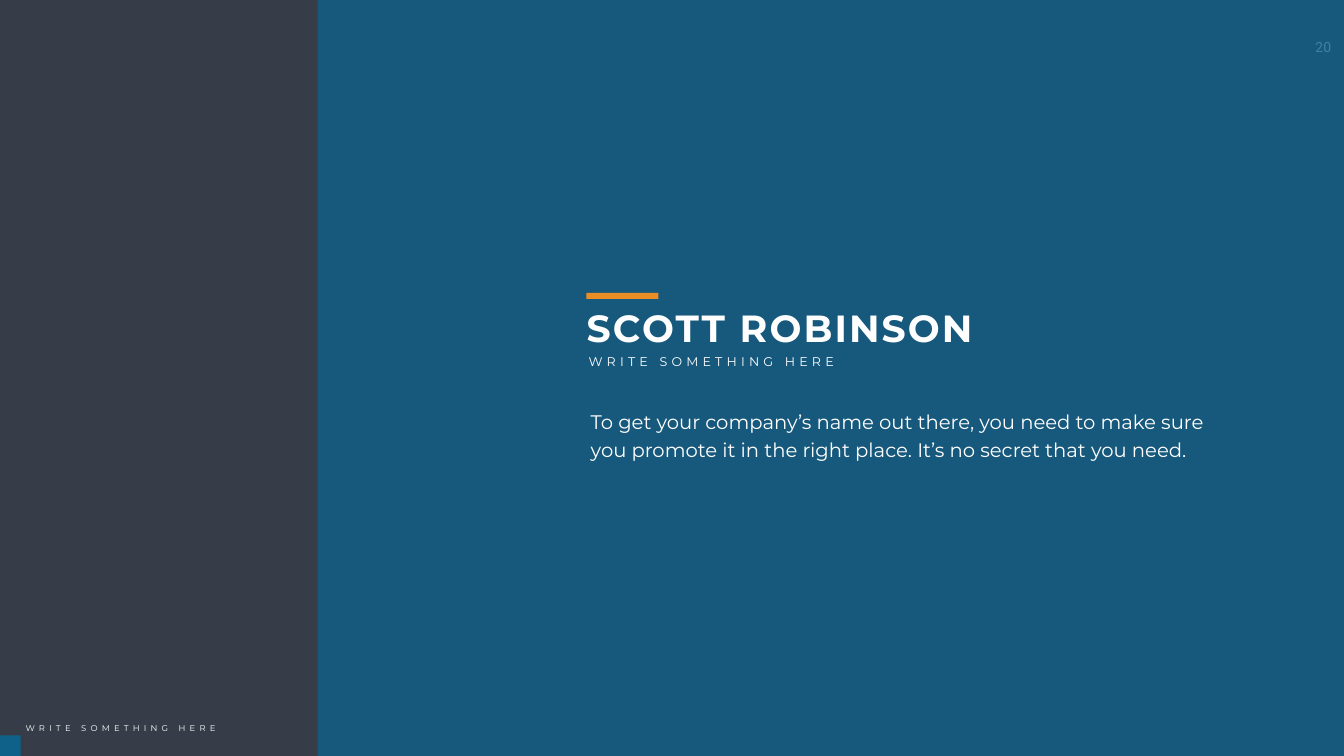
from dataclasses import dataclass

from lxml.etree import SubElement
from pptx import Presentation
from pptx.dml.color import RGBColor
from pptx.enum.shapes import MSO_SHAPE
from pptx.enum.text import MSO_AUTO_SIZE, PP_ALIGN
from pptx.oxml.ns import qn
from pptx.slide import Slide
from pptx.util import Pt

SLIDE_WIDTH, SLIDE_HEIGHT = 1919.52, 1080
PANEL_LEFT = 453.6
CORNER = 29.52
SLATE, BLUE, ORANGE, WHITE = "363D48", "10618A", "E98D24", "FFFFFF"


@dataclass
class Block:
    left: float
    top: float
    width: float
    height: float
    color: str
    opacity: int = 100


@dataclass
class Label:
    text: str
    left: float
    top: float
    width: float
    height: float
    size: float
    font: str = "Montserrat"
    bold: bool = False
    tracking: float = 0
    line_spacing: float = 0
    wrap: bool = False
    align: PP_ALIGN = PP_ALIGN.LEFT
    inset_x: float = 7.2
    inset_y: float = 3.6


def paint(fill, color: str) -> None:
    fill.solid()
    fill.fore_color.rgb = RGBColor.from_string(color)


def draw_block(slide: Slide, block: Block) -> None:
    rectangle = slide.shapes.add_shape(
        MSO_SHAPE.RECTANGLE,
        Pt(block.left), Pt(block.top), Pt(block.width), Pt(block.height),
    )
    rectangle.shadow.inherit = False
    rectangle.line.fill.background()
    paint(rectangle.fill, block.color)
    if block.opacity < 100:
        tint = rectangle.fill._xPr.find(qn("a:solidFill"))[0]
        SubElement(tint, qn("a:alpha")).set("val", str(block.opacity * 1000))


def draw_label(slide: Slide, label: Label) -> None:
    box = slide.shapes.add_textbox(
        Pt(label.left), Pt(label.top), Pt(label.width), Pt(label.height)
    )
    frame = box.text_frame
    frame.word_wrap = label.wrap
    frame.auto_size = MSO_AUTO_SIZE.SHAPE_TO_FIT_TEXT
    frame.margin_left = frame.margin_right = Pt(label.inset_x)
    frame.margin_top = frame.margin_bottom = Pt(label.inset_y)
    paragraph = frame.paragraphs[0]
    paragraph.alignment = label.align
    if label.line_spacing:
        paragraph.line_spacing = Pt(label.line_spacing)
    run = paragraph.add_run()
    run.text = label.text
    run.font.name = label.font
    run.font.size = Pt(label.size)
    run.font.bold = label.bold
    paint(run.font.fill, WHITE)
    if label.tracking:
        run._r.get_or_add_rPr().set("spc", str(round(label.tracking * 100)))


def main() -> None:
    presentation = Presentation()
    presentation.slide_width = Pt(SLIDE_WIDTH)
    presentation.slide_height = Pt(SLIDE_HEIGHT)
    slide = presentation.slides.add_slide(presentation.slide_layouts[6])
    paint(slide.background.fill, SLATE)

    tagline = "WRITE SOMETHING HERE"
    biography = (
        "To get your company’s name out there, you need to make sure "
        "you promote it in the right place. It’s no secret that you need."
    )

    page_number = Label("20", 1861.2, 48.24, 57.6, 38.88, 20, font="Roboto",
                        align=PP_ALIGN.CENTER, inset_x=14.4, inset_y=7.2)
    panel = Block(PANEL_LEFT, 0, SLIDE_WIDTH - PANEL_LEFT, SLIDE_HEIGHT, BLUE, 80)
    corner = Block(0, SLIDE_HEIGHT - CORNER, CORNER, CORNER, BLUE)
    footer = Label(tagline, CORNER, 1029.6, 293.76, 21.6, 12, tracking=6)
    person = Label("SCOTT ROBINSON", 830.88, 432, 670.32, 72.72, 54,
                   bold=True, tracking=3, wrap=True)
    role = Label(tagline, 833.76, 501.84, 372.96, 28.8, 18, tracking=6)
    accent = Block(837.36, 418.32, 102.96, 8.64, ORANGE)
    summary = Label(biography, 836.64, 574.56, 921.6, 86.4, 28,
                    line_spacing=40.8, wrap=True)

    draw_label(slide, page_number)
    for block in (panel, corner, accent):
        draw_block(slide, block)
    for label in (footer, person, role, summary):
        draw_label(slide, label)

    presentation.save("out.pptx")


if __name__ == "__main__":
    main()
